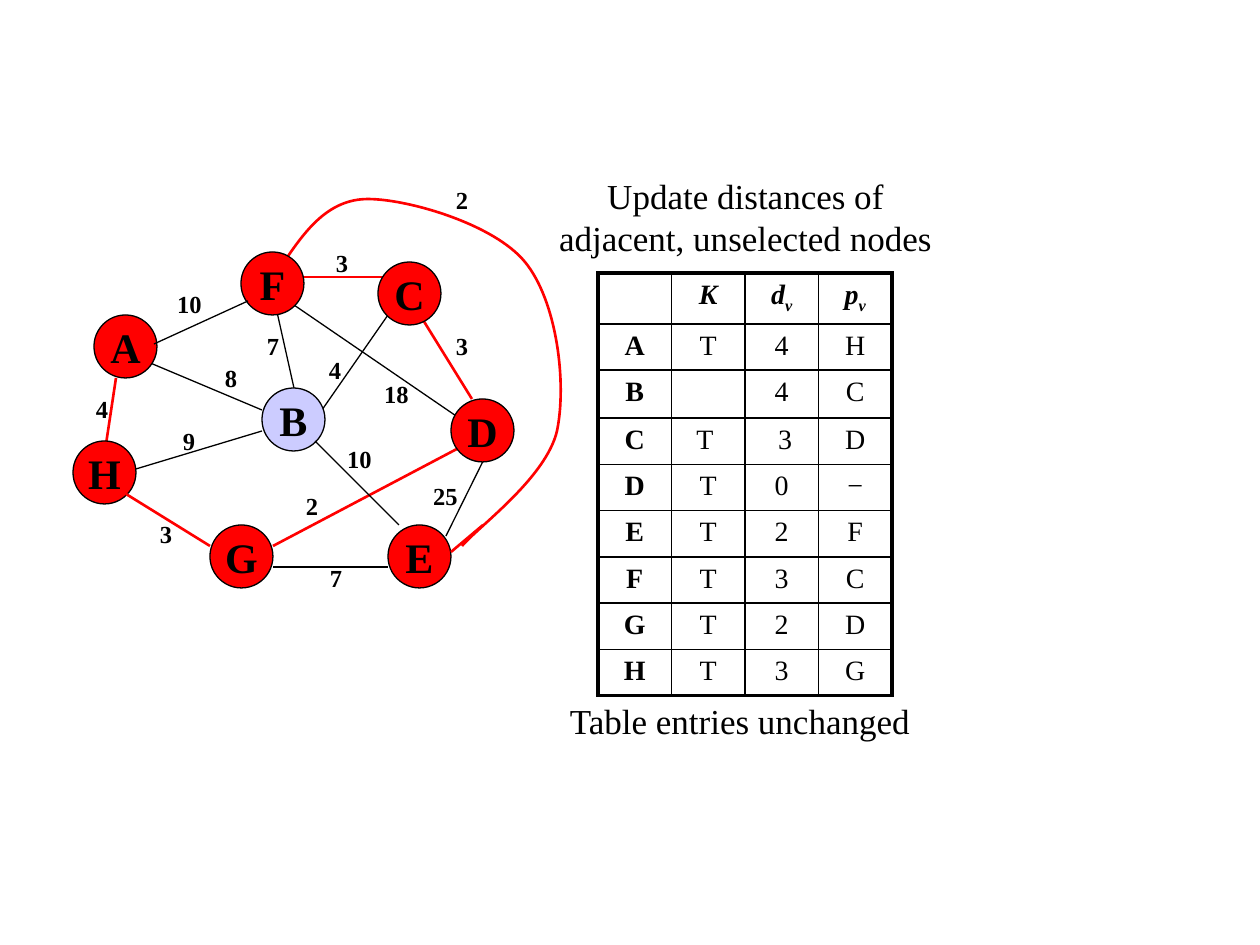
from dataclasses import dataclass

from lxml.etree import SubElement
from pptx import Presentation
from pptx.dml.color import RGBColor
from pptx.enum.shapes import MSO_CONNECTOR as Connector, MSO_SHAPE as Shape
from pptx.enum.text import MSO_ANCHOR as Anchor, MSO_AUTO_SIZE as AutoSize, PP_ALIGN as Align
from pptx.oxml.ns import qn
from pptx.util import Pt

PX_PER_INCH = 126
SLIDE_SIZE = (1260, 945)
NODE_SIZE = 63


def px(length):
    return round(length * 914400 / PX_PER_INCH)


@dataclass(frozen=True)
class Theme:
    font: str = "Times New Roman"
    ink: str = "000000"
    selected: str = "FF0000"
    unselected: str = "CCCCFF"
    node_size: int = 24
    note_size: int = 20
    cell_size: int = 16
    label_size: int = 14
    thin: float = 0.75
    thick: float = 1.5
    grid: float = 1
    frame: float = 2.25


class GraphSlide:
    def __init__(self, slide, theme):
        self.slide, self.theme = slide, theme

    def run(self, paragraph, text, size, bold=False, italic=False, subscript=False):
        run = paragraph.add_run()
        run.text = text
        font = run.font
        font.name, font.size = self.theme.font, Pt(size)
        font.bold, font.italic = bold, italic
        font.color.rgb = RGBColor.from_string(self.theme.ink)
        if subscript:
            run._r.get_or_add_rPr().set("baseline", "-25000")

    def stroke(self, line, chosen):
        theme = self.theme
        line.color.rgb = RGBColor.from_string(theme.selected if chosen else theme.ink)
        line.width = Pt(theme.thick if chosen else theme.thin)

    def text(self, text, left, top, width, height, size, bold=False):
        box = self.slide.shapes.add_textbox(px(left), px(top), px(width), px(height))
        frame = box.text_frame
        frame.word_wrap = True
        frame.auto_size = AutoSize.SHAPE_TO_FIT_TEXT
        paragraph = frame.paragraphs[0]
        paragraph.alignment = Align.CENTER
        self.run(paragraph, text, size, bold)

    def weight(self, text, left, top):
        width = 42 if len(text) == 1 else 65
        self.text(text, left, top, width, 42, self.theme.label_size, bold=True)

    def edge(self, x1, y1, x2, y2, chosen=False):
        edge = self.slide.shapes.add_connector(Connector.STRAIGHT, px(x1), px(y1), px(x2), px(y2))
        self.stroke(edge.line, chosen)
        SubElement(edge._element.spPr, qn("a:effectLst"))

    def curve(self, start, points):
        """Draw cubic segments; each takes two control points and an end."""
        builder = self.slide.shapes.build_freeform(px(start[0]), px(start[1]))
        builder.add_line_segments([(px(x), px(y)) for x, y in points], close=False)
        shape = builder.convert_to_shape()
        shape.shadow.inherit = False
        shape.fill.background()
        self.stroke(shape.line, chosen=True)
        path = next(shape._element.iter(qn("a:path")))
        steps = path.findall(qn("a:lnTo"))
        for first in range(0, len(steps), 3):
            segment = SubElement(path, qn("a:cubicBezTo"))
            for step in steps[first:first + 3]:
                segment.append(step[0])
                path.remove(step)

    def node(self, name, left, top, selected):
        theme = self.theme
        node = self.slide.shapes.add_shape(
            Shape.OVAL, px(left), px(top), px(NODE_SIZE), px(NODE_SIZE))
        node.shadow.inherit = False
        node.fill.solid()
        node.fill.fore_color.rgb = RGBColor.from_string(
            theme.selected if selected else theme.unselected)
        self.stroke(node.line, chosen=False)
        frame = node.text_frame
        frame.word_wrap = False
        frame.vertical_anchor = Anchor.MIDDLE
        paragraph = frame.paragraphs[0]
        paragraph.alignment = Align.CENTER
        self.run(paragraph, name, theme.node_size, bold=True)

    def borders(self, cell, outer_sides):
        properties = cell._tc.get_or_add_tcPr()
        for position, side in enumerate("LRTB"):
            width = self.theme.frame if side in outer_sides else self.theme.grid
            line = SubElement(properties, qn(f"a:ln{side}"), w=str(Pt(width)))
            fill = SubElement(line, qn("a:solidFill"))
            SubElement(fill, qn("a:srgbClr"), val=self.theme.ink)
            properties.insert(position, line)

    def table(self, header, rows, left, top, width, heights):
        row_count, column_count = len(rows) + 1, len(header)
        table = self.slide.shapes.add_table(
            row_count, column_count, px(left), px(top), px(width), px(sum(heights))).table
        table.first_row = table.horz_banding = False
        for column in table.columns:
            column.width = px(width) // column_count
        for row, height in zip(table.rows, heights):
            row.height = px(height)
        for r, values in enumerate([header, *rows]):
            for c, value in enumerate(values):
                cell = table.cell(r, c)
                cell.fill.background()
                outer = {"L": c == 0, "R": c == column_count - 1,
                         "T": r == 0, "B": r == row_count - 1}
                self.borders(cell, [side for side, is_outer in outer.items() if is_outer])
                paragraph = cell.text_frame.paragraphs[0]
                paragraph.alignment = Align.CENTER
                size = self.theme.cell_size
                if not value:
                    SubElement(paragraph._p, qn("a:endParaRPr"), sz=str(size * 100))
                elif r == 0:
                    self.run(paragraph, value[0], size, bold=True, italic=True)
                    if value[1:]:
                        self.run(paragraph, value[1:], size, True, True, subscript=True)
                else:
                    self.run(paragraph, value, size, bold=c == 0)


NODES = {"A": (94, 315), "H": (73, 441), "B": (262, 388), "F": (241, 252),
         "E": (388, 525), "D": (451, 399), "C": (378, 262), "G": (210, 525)}
EDGES_BEHIND = [
    (498, 431, 446, 536), (273, 294, 294, 388), (315, 420, 388, 315), (462, 420, 294, 305),
    (126, 472, 262, 431), (273, 546, 472, 441, True), (105, 451, 116, 378, True),
    (136, 357, 262, 410), (300, 277, 399, 277, True), (420, 315, 472, 399, True)]
EDGES_IN_FRONT = [
    (315, 441, 399, 525), (388, 567, 273, 567), (210, 546, 126, 494, True),
    (154, 344, 248, 301), (483, 525, 451, 552, True)]
WEIGHTS = [
    ("4", 81, 388), ("25", 413, 475), ("7", 315, 557), ("2", 291, 485), ("10", 327, 438),
    ("18", 364, 373), ("3", 441, 325), ("4", 314, 349), ("3", 321, 242), ("7", 252, 325),
    ("8", 210, 357), ("9", 168, 420), ("3", 145, 513), ("10", 157, 283), ("2", 441, 179)]
HEADER = ["", "K", "dv", "pv"]
ROWS = [["A", "T", "4", "H"], ["B", "", "4", "C"], ["C", "T ", " 3", "D"],
        ["D", "T", "0", "−"], ["E", "T", "2", "F"], ["F", "T", "3", "C"],
        ["G", "T", "2", "D"], ["H", "T", "3", "G"]]


def main():
    presentation = Presentation()
    presentation.slide_width, presentation.slide_height = map(px, SLIDE_SIZE)
    theme = Theme()
    graph = GraphSlide(presentation.slides.add_slide(presentation.slide_layouts[6]), theme)

    # Graph: edges run under the nodes, then those that lie on top
    graph.curve((284, 262), [(305, 231), (328, 199), (368, 199),
                             (408, 199), (494, 224), (525, 262),
                             (557, 301), (567, 383), (557, 431),
                             (546, 478), (478, 527), (462, 546)])
    for edge in EDGES_BEHIND:
        graph.edge(*edge)
    for name, (left, top) in NODES.items():
        graph.node(name, left, top, selected=name != "B")
    for edge in EDGES_IN_FRONT:
        graph.edge(*edge)
    for weight in WEIGHTS:
        graph.weight(*weight)

    # Distance table with its notes
    graph.text("Update distances of adjacent, unselected nodes", 546, 168, 399, 97,
               theme.note_size)
    graph.table(HEADER, ROWS, 598, 273, 294, [51, 46, 48] + [46] * 6)
    graph.text("Table entries unchanged", 546, 693, 388, 54, theme.note_size)

    presentation.save("out.pptx")


if __name__ == "__main__":
    main()
